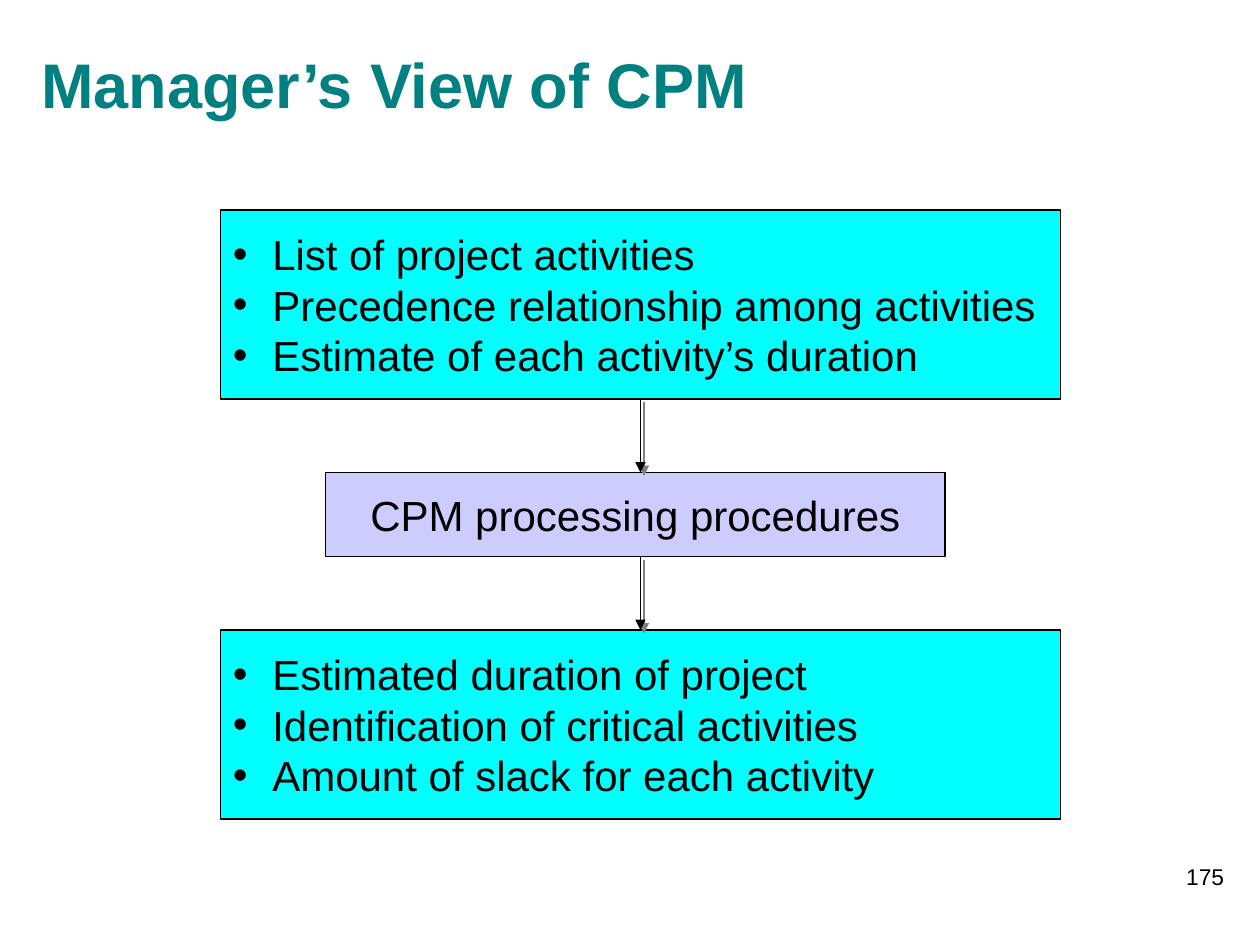
from lxml import etree
from pptx import Presentation
from pptx.dml.color import RGBColor
from pptx.enum import shapes, text
from pptx.oxml import ns
from pptx.util import Pt

COLORS = {"title": "008080", "data": "00FFFF", "process": "CCCCFF",
          "ink": "000000", "shadow": "808080"}
FONT = "Arial"


def rgb(name):
    return RGBColor.from_string(COLORS[name])


def sub(parent, tag, **attrs):
    return etree.SubElement(parent, ns.qn(tag), attrs)


def write(tf, lines, size=24, color="ink", bold=False, bullet=False,
          align=text.PP_ALIGN.LEFT, anchor=text.MSO_ANCHOR.MIDDLE):
    tf.word_wrap = True
    tf.vertical_anchor = anchor
    for i, line in enumerate(lines):
        p = tf.add_paragraph() if i else tf.paragraphs[0]
        p.alignment = align
        if bullet:
            pPr = p._p.get_or_add_pPr()
            pPr.set("marL", str(Pt(22.5)))
            pPr.set("indent", str(-Pt(22.5)))
            sub(pPr, "a:buFont", typeface=FONT)
            sub(pPr, "a:buChar", char="•")
        r = p.add_run()
        r.text = line
        r.font.name = FONT
        r.font.size = Pt(size)
        r.font.bold = bold
        r.font.color.rgb = rgb(color)


def add_title(s, x, y, w, h, title):
    tf = s.shapes.add_textbox(Pt(x), Pt(y), Pt(w), Pt(h)).text_frame
    tf.margin_bottom = Pt(45)
    write(tf, [title], size=36, color="title", bold=True)


def add_page_number(s, x, y, w, h, number):
    tf = s.shapes.add_textbox(Pt(x), Pt(y), Pt(w), Pt(h)).text_frame
    write(tf, [number], size=13, align=text.PP_ALIGN.RIGHT,
          anchor=text.MSO_ANCHOR.TOP)


def add_box(s, x, y, w, h, fill, lines, **fmt):
    sp = s.shapes.add_shape(shapes.MSO_SHAPE.RECTANGLE,
                            Pt(x), Pt(y), Pt(w), Pt(h))
    sp.shadow.inherit = False
    sp.fill.solid()
    sp.fill.fore_color.rgb = rgb(fill)
    sp.line.color.rgb = rgb("ink")
    sp.line.width = Pt(1)
    write(sp.text_frame, lines, **fmt)
    return sp


def add_arrow(s, x, y1, y2):
    c = s.shapes.add_connector(shapes.MSO_CONNECTOR.STRAIGHT,
                               Pt(x), Pt(y1), Pt(x), Pt(y2))
    c.line.color.rgb = rgb("ink")
    c.line.width = Pt(1)
    sub(c.line._get_or_add_ln(), "a:tailEnd", type="triangle")
    effects = sub(c._element.spPr, "a:effectLst")
    shadow = sub(effects, "a:outerShdw", dist=str(Pt(2.8)), dir="2700000",
                 algn="ctr", rotWithShape="0")
    sub(shadow, "a:srgbClr", val=COLORS["shadow"])
    return c


def add_flow(s, x, y, w, h):
    data_h, process_h = 108, 48
    gap = (h - 2 * data_h - process_h) / 2
    process_y = y + data_h + gap
    output_y = y + h - data_h
    inputs = add_box(s, x, y, w, data_h, "data", [
        "List of project activities",
        "Precedence relationship among activities",
        "Estimate of each activity’s duration"], bullet=True)
    outputs = add_box(s, x, output_y, w, data_h, "data", [
        "Estimated duration of project",
        "Identification of critical activities",
        "Amount of slack for each activity"], bullet=True)
    add_box(s, x + 60, process_y, 354, process_h, "process",
            ["CPM processing procedures"], align=text.PP_ALIGN.CENTER)
    mid = x + w / 2
    add_arrow(s, mid, output_y - gap, output_y).end_connect(outputs, 0)
    add_arrow(s, mid, process_y - gap, process_y).begin_connect(inputs, 2)


def main():
    prs = Presentation()
    prs.slide_width, prs.slide_height = Pt(720), Pt(540)
    s = prs.slides.add_slide(prs.slide_layouts[6])
    add_title(s, 16.5, 35, 578, 67, "Manager’s View of CPM")
    add_flow(s, 126, 120, 480, 348)
    add_page_number(s, 556.5, 489.5, 150, 36, "175")
    prs.save("out.pptx")


if __name__ == "__main__":
    main()
